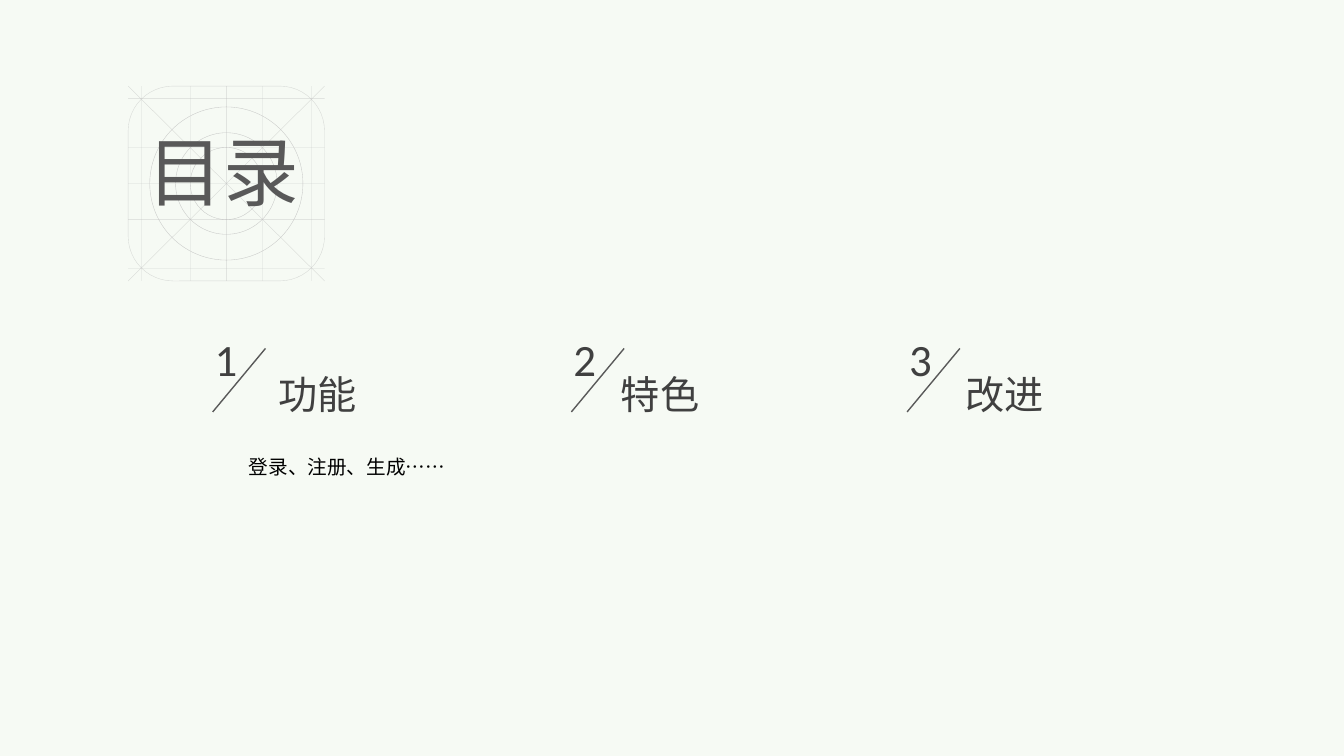
import dataclasses

import lxml.etree
import pptx
import pptx.dml.color
import pptx.enum.shapes
import pptx.enum.text
import pptx.oxml.ns
import pptx.util

Cm = pptx.util.Cm
Shapes = pptx.enum.shapes.MSO_SHAPE
STRAIGHT = pptx.enum.shapes.MSO_CONNECTOR.STRAIGHT


@dataclasses.dataclass(frozen=True)
class Theme:
    background: str = "F6FAF4"
    grid: str = "BFBFBF"
    title: str = "595959"
    slash: str = "595959"
    heading: str = "404040"
    detail: str = "000000"
    latin_font: str = "Calibri"
    chinese_font: str = "Noto Sans CJK SC"
    title_size: int = 54
    number_size: int = 32
    caption_size: int = 28
    detail_size: int = 14
    grid_width: float = 0.25
    slash_width: float = 1
    grid_opacity: int = 57
    ring_opacity: int = 82


THEME = Theme()


def color(value):
    return pptx.dml.color.RGBColor.from_string(value)


def add_child(parent, tag, **attributes):
    return lxml.etree.SubElement(parent, pptx.oxml.ns.qn(tag), **attributes)


def style_line(shape, line_color, width, opacity=100):
    shape.line.color.rgb = color(line_color)
    shape.line.width = pptx.util.Pt(width)
    if opacity < 100:
        solid = shape.line.fill._xPr.find(pptx.oxml.ns.qn("a:solidFill"))
        add_child(solid[0], "a:alpha", val=str(opacity * 1000))


def add_line(shapes, start, end, line_color, width, opacity=100):
    ends = [Cm(value) for value in (*start, *end)]
    connector = shapes.add_connector(STRAIGHT, *ends)
    style_line(connector, line_color, width, opacity)
    add_child(connector._element.spPr, "a:effectLst")


def add_outline(shapes, kind, left, top, width, height, opacity):
    shape = shapes.add_shape(kind, Cm(left), Cm(top), Cm(width), Cm(height))
    shape.shadow.inherit = False
    shape.fill.background()
    style_line(shape, THEME.grid, THEME.grid_width, opacity)
    return shape


def add_text(slide, box, text, size, text_color, font=THEME.chinese_font):
    text_box = slide.shapes.add_textbox(*[Cm(value) for value in box])
    frame = text_box.text_frame
    frame.word_wrap = True
    frame.auto_size = pptx.enum.text.MSO_AUTO_SIZE.SHAPE_TO_FIT_TEXT
    paragraph = frame.paragraphs[0]
    paragraph.text = text
    paragraph.line_spacing = 0.9
    paragraph.font.size = pptx.util.Pt(size)
    paragraph.font.color.rgb = color(text_color)
    paragraph.font.name = font
    properties = paragraph._p.pPr.find(pptx.oxml.ns.qn("a:defRPr"))
    add_child(properties, "a:ea", typeface=THEME.chinese_font)


def add_title_badge(slide, left, top, width, height):
    """Construction grid with the title over it."""
    shapes = slide.shapes.add_group_shape().shapes
    right, bottom = left + width, top + height
    center_x, center_y = left + width / 2, top + height / 2
    grid_style = (THEME.grid, THEME.grid_width, THEME.grid_opacity)

    # Rings and rounded frame
    for radius in (1.93, 1.28, 0.91):
        add_outline(shapes, Shapes.OVAL, center_x - radius, center_y - radius,
                    2 * radius, 2 * radius, THEME.ring_opacity)
    frame = add_outline(shapes, Shapes.ROUNDED_RECTANGLE, left, top,
                        width, height, THEME.grid_opacity)
    frame.adjustments[0] = 0.23

    # Grid lines and diagonals
    for offset in (-2.14, -0.91, 0, 0.91, 2.14):
        x, y = center_x + offset, center_y + offset
        add_line(shapes, (x, top), (x, bottom), *grid_style)
        add_line(shapes, (left, y), (right, y), *grid_style)
    add_line(shapes, (left, top), (right, bottom), *grid_style)
    add_line(shapes, (left, bottom), (right, top), *grid_style)

    add_text(slide, (left + 0.25, top + 1.12, 4.52, 2.54), "目录",
             THEME.title_size, THEME.title)


def add_section(slide, left, top, number, caption, caption_offset):
    """Number, slash and caption of one section."""
    add_text(slide, (left, top, 1.14, 1.63), number,
             THEME.number_size, THEME.heading, THEME.latin_font)
    add_line(slide.shapes, (left + 1.53, top + 0.4), (left + 0.2, top + 2),
             THEME.slash, THEME.slash_width)
    add_text(slide, (left + caption_offset, top + 0.97, 5.74, 1.52), caption,
             THEME.caption_size, THEME.heading)


def add_contents_slide(presentation):
    slide = presentation.slides.add_slide(presentation.slide_layouts[6])
    slide.background.fill.solid()
    slide.background.fill.fore_color.rgb = color(THEME.background)

    add_title_badge(slide, 3.23, 2.17, 4.95, 4.91)

    # Sections: left edge, caption, caption offset
    sections = ((5.16, "功能", 1.6), (14.2, "特色", 1.2), (22.66, "改进", 1.42))
    for number, (left, caption, offset) in enumerate(sections, start=1):
        add_section(slide, left, 8.38, str(number), caption, offset)

    # Detail under the first section
    add_text(slide, (6.02, 11.4, 6.43, 0.86), "登录、注册、生成……",
             THEME.detail_size, THEME.detail, THEME.latin_font)


def main():
    presentation = pptx.Presentation()
    presentation.slide_width = Cm(33.87)
    presentation.slide_height = Cm(19.05)
    add_contents_slide(presentation)
    presentation.save("out.pptx")


if __name__ == "__main__":
    main()
